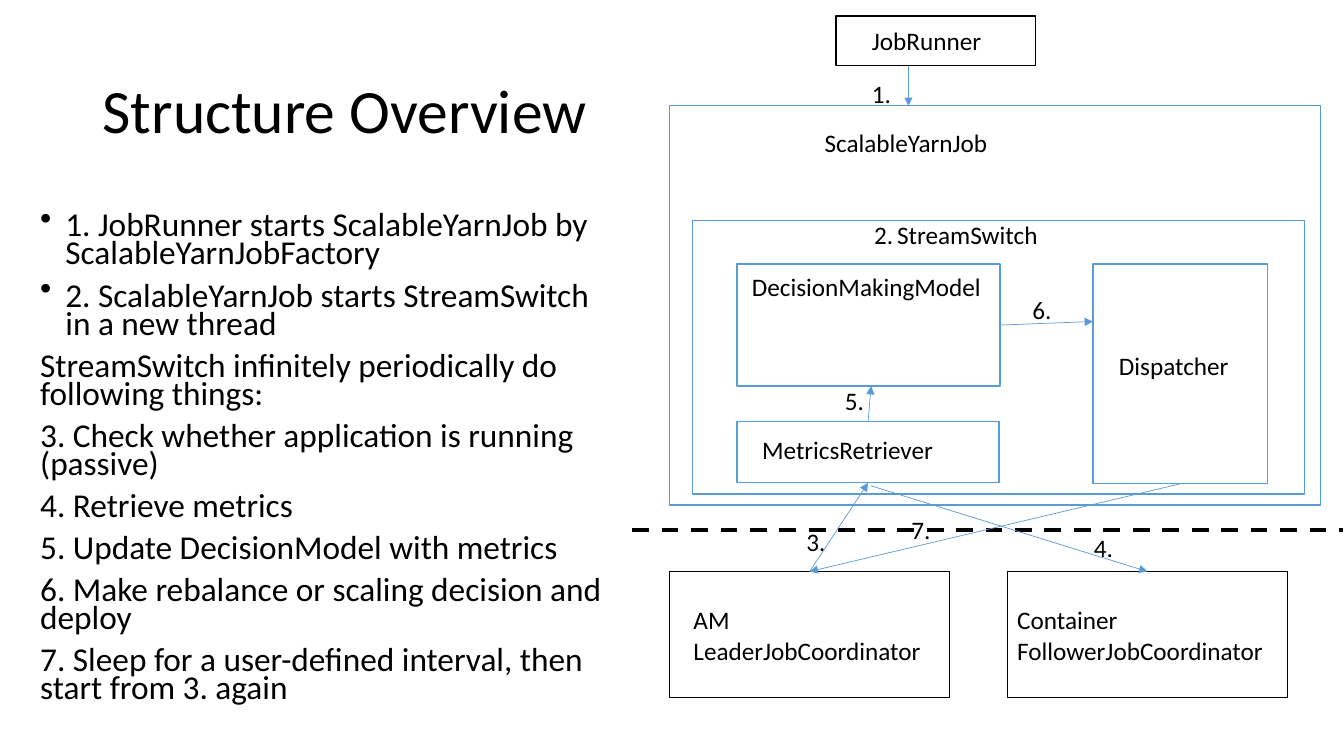
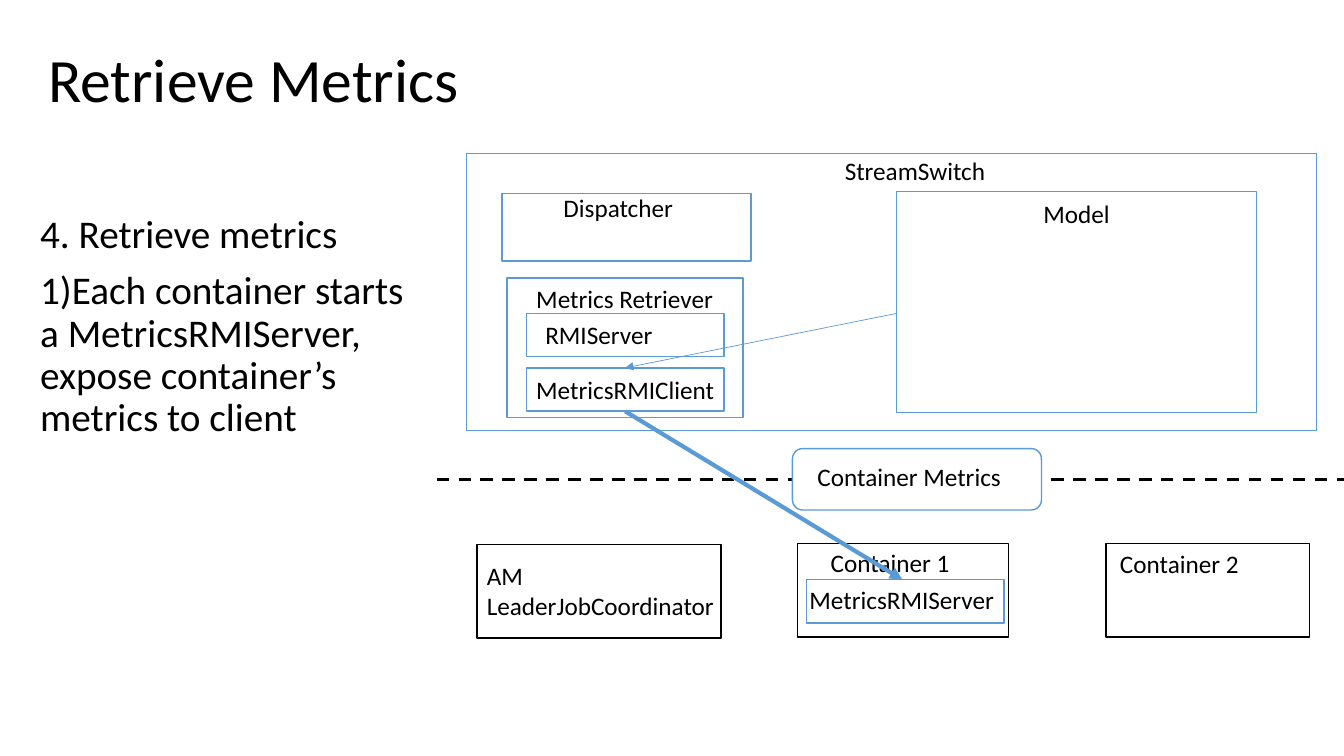
from dataclasses import dataclass
from typing import NamedTuple, Optional

import lxml.etree
import pptx
import pptx.dml.color
import pptx.enum.dml
import pptx.enum.shapes
import pptx.enum.text
import pptx.oxml.ns
import pptx.util

EMU_PER_PX = 9144  # 100 px to the inch


@dataclass(frozen=True)
class Theme:
    ink: str = "000000"
    accent: str = "5B9BD5"
    paper: str = "FFFFFF"
    font: str = "Calibri"
    title: float = 44
    label: float = 18
    outline: float = 1
    thin: float = 0.5
    thick: float = 3


THEME = Theme()


class Rect(NamedTuple):
    left: int
    top: int
    width: int
    height: int


class Label(NamedTuple):
    text: str
    left: int
    top: int
    width: int


class Box(NamedTuple):
    rect: Rect
    label: Label
    color: str = THEME.accent
    rounded: bool = False


class Anchor(NamedTuple):
    """The middle of a box side: 0 top, 1 left, 2 bottom, 3 right."""
    box: str
    side: int


class Point(NamedTuple):
    x: int
    y: int


class Arrow(NamedTuple):
    start: Anchor | Point
    end: Anchor | Point
    width: float = THEME.thin


class Line(NamedTuple):
    text: str
    bullet: bool = False


class Body(NamedTuple):
    rect: Rect
    size: float
    spacing: float
    lines: list[Line]


class Divider(NamedTuple):
    left: int
    right: int
    y: int
    width: float


class Page(NamedTuple):
    title: str
    title_at: Point
    body: Body
    divider: Divider
    boxes: dict[str, Box]
    steps: list[Label]
    arrows: list[Arrow]


def px(length: int) -> int:
    return pptx.util.Emu(length * EMU_PER_PX)


def rgb(color: str) -> pptx.dml.color.RGBColor:
    return pptx.dml.color.RGBColor.from_string(color)


def style_font(paragraph, size: float) -> None:
    paragraph.font.name = THEME.font
    paragraph.font.size = pptx.util.Pt(size)
    paragraph.font.color.rgb = rgb(THEME.ink)


def add_frame(slide, rect: Rect):
    frame = slide.shapes.add_textbox(*map(px, rect)).text_frame
    frame.word_wrap = True
    return frame


def add_bullet(paragraph) -> None:
    properties = paragraph._p.get_or_add_pPr()
    properties.set("marL", str(px(25)))
    properties.set("indent", str(px(-25)))
    bullet = lxml.etree.SubElement(properties, pptx.oxml.ns.qn("a:buChar"))
    bullet.set("char", "•")


def draw_title(slide, text: str, at: Point) -> None:
    frame = add_frame(slide, Rect(at.x, at.y, 1150, 145))
    frame.vertical_anchor = pptx.enum.text.MSO_ANCHOR.MIDDLE
    paragraph = frame.paragraphs[0]
    paragraph.text = text
    paragraph.line_spacing = 0.9
    style_font(paragraph, THEME.title)


def draw_body(slide, body: Body) -> None:
    frame = add_frame(slide, body.rect)
    for index, line in enumerate(body.lines):
        paragraph = frame.add_paragraph() if index else frame.paragraphs[0]
        paragraph.text = line.text
        paragraph.line_spacing = body.spacing
        if index:
            paragraph.space_before = pptx.util.Pt(10)
        if line.bullet:
            add_bullet(paragraph)
        style_font(paragraph, body.size)


def draw_label(slide, label: Label) -> None:
    rows = label.text.count("\n")
    frame = add_frame(slide, Rect(label.left, label.top, label.width, 40 + 31 * rows))
    frame.auto_size = pptx.enum.text.MSO_AUTO_SIZE.SHAPE_TO_FIT_TEXT
    frame.text = label.text
    for paragraph in frame.paragraphs:
        style_font(paragraph, THEME.label)


def draw_box(slide, box: Box):
    kinds = pptx.enum.shapes.MSO_SHAPE
    kind = kinds.ROUNDED_RECTANGLE if box.rounded else kinds.RECTANGLE
    outline = slide.shapes.add_shape(kind, *map(px, box.rect))
    outline.shadow.inherit = False
    outline.fill.solid()
    outline.fill.fore_color.rgb = rgb(THEME.paper)
    outline.line.color.rgb = rgb(box.color)
    outline.line.width = pptx.util.Pt(THEME.outline)
    draw_label(slide, box.label)
    return outline


def add_line(slide, start: Point, end: Point, color: str, width: float):
    connector = slide.shapes.add_connector(
        pptx.enum.shapes.MSO_CONNECTOR.STRAIGHT, *map(px, (*start, *end)))
    connector.line.color.rgb = rgb(color)
    connector.line.width = pptx.util.Pt(width)
    lxml.etree.SubElement(connector.element.spPr, pptx.oxml.ns.qn("a:effectLst"))
    return connector


def draw_divider(slide, divider: Divider) -> None:
    connector = add_line(slide, Point(divider.left, divider.y),
                         Point(divider.right, divider.y), THEME.ink, divider.width)
    connector.line.dash_style = pptx.enum.dml.MSO_LINE.DASH


def draw_arrow(slide, arrow: Arrow, outlines: dict) -> None:
    origin = Point(0, 0)
    start, end = (origin if isinstance(tip, Anchor) else tip
                  for tip in (arrow.start, arrow.end))
    connector = add_line(slide, start, end, THEME.accent, arrow.width)
    if isinstance(arrow.start, Anchor):
        connector.begin_connect(outlines[arrow.start.box], arrow.start.side)
    if isinstance(arrow.end, Anchor):
        connector.end_connect(outlines[arrow.end.box], arrow.end.side)
    stroke = connector.element.spPr.find(pptx.oxml.ns.qn("a:ln"))
    head = lxml.etree.SubElement(stroke, pptx.oxml.ns.qn("a:tailEnd"))
    head.set("type", "triangle")


def draw_page(slide, page: Page) -> None:
    draw_title(slide, page.title, page.title_at)
    draw_body(slide, page.body)
    draw_divider(slide, page.divider)
    outlines = {key: draw_box(slide, box) for key, box in page.boxes.items()}
    for step in page.steps:
        draw_label(slide, step)
    for arrow in page.arrows:
        draw_arrow(slide, arrow, outlines)


STRUCTURE = Page(
    title="Structure Overview",
    title_at=Point(92, 40),
    body=Body(Rect(30, 208, 589, 526), 23.8, 0.7, [
        Line("1. JobRunner starts ScalableYarnJob by ScalableYarnJobFactory", True),
        Line("2. ScalableYarnJob starts StreamSwitch in a new thread", True),
        Line("StreamSwitch infinitely periodically do following things:"),
        Line("3. Check whether application is running (passive)"),
        Line("4. Retrieve metrics"),
        Line("5. Update DecisionModel with metrics"),
        Line("6. Make rebalance or scaling decision and deploy"),
        Line("7. Sleep for a user-defined interval, then start from 3. again"),
    ]),
    divider=Divider(627, 1332, 526, 3),
    boxes={
        "runner": Box(Rect(829, 16, 198, 49), Label("JobRunner", 855, 20, 146), THEME.ink),
        "job": Box(Rect(664, 105, 646, 396), Label("ScalableYarnJob", 808, 121, 206)),
        "switch": Box(Rect(687, 219, 607, 271), Label("StreamSwitch", 880, 213, 212)),
        "model": Box(Rect(731, 262, 261, 121), Label("DecisionMakingModel", 736, 264, 273)),
        "retriever": Box(Rect(731, 418, 260, 61), Label("MetricsRetriever", 746, 426, 235)),
        "dispatcher": Box(Rect(1084, 262, 173, 218), Label("Dispatcher", 1100, 343, 157)),
        "leader": Box(Rect(664, 567, 278, 125),
                      Label("AM\nLeaderJobCoordinator", 678, 595, 250), THEME.ink),
        "follower": Box(Rect(999, 567, 278, 125),
                        Label("Container\nFollowerJobCoordinator", 999, 595, 274), THEME.ink),
    },
    steps=[
        Label("1.", 855, 73, 46),
        Label("2.", 857, 213, 52),
        Label("3.", 790, 517, 90),
        Label("4.", 1075, 523, 66),
        Label("5.", 828, 377, 52),
        Label("6.", 1014, 287, 52),
        Label("7.", 894, 505, 72),
    ],
    arrows=[
        Arrow(Point(901, 65), Point(901, 105)),
        Arrow(Anchor("leader", 0), Anchor("retriever", 2)),
        Arrow(Point(864, 482), Anchor("follower", 0)),
        Arrow(Anchor("retriever", 0), Point(864, 383)),
        Arrow(Anchor("model", 3), Point(1084, 319)),
        Arrow(Anchor("dispatcher", 2), Anchor("leader", 0)),
    ],
)

METRICS = Page(
    title="Retrieve Metrics",
    title_at=Point(38, 9),
    body=Body(Rect(30, 208, 389, 476), 28, 0.9, [
        Line("4. Retrieve metrics"),
        Line("1)Each container starts a MetricsRMIServer, expose container’s metrics to client"),
    ]),
    divider=Divider(433, 1333, 476, 2.25),
    boxes={
        "switch": Box(Rect(463, 152, 843, 275), Label("StreamSwitch", 828, 149, 168)),
        "dispatcher": Box(Rect(498, 192, 247, 67), Label("Dispatcher", 549, 186, 144)),
        "retriever": Box(Rect(503, 276, 234, 138), Label("Metrics Retriever", 522, 276, 205)),
        "model": Box(Rect(889, 190, 357, 219), Label("Model", 1025, 192, 124)),
        "rmi": Box(Rect(522, 311, 196, 43), Label("RMIServer", 531, 312, 180)),
        "client": Box(Rect(522, 365, 196, 43), Label("MetricsRMIClient", 522, 366, 197)),
        "leader": Box(Rect(473, 540, 242, 93),
                      Label("AM\nLeaderJobCoordinator", 473, 551, 252), THEME.ink),
        "first": Box(Rect(791, 539, 209, 93), Label("Container 1", 814, 538, 205), THEME.ink),
        "second": Box(Rect(1097, 539, 202, 93), Label("Container 2", 1101, 539, 205), THEME.ink),
        "server": Box(Rect(800, 575, 196, 43), Label("MetricsRMIServer", 793, 575, 205)),
        "metrics": Box(Rect(786, 445, 247, 61),
                       Label("Container Metrics", 801, 453, 214), rounded=True),
    },
    steps=[],
    arrows=[
        Arrow(Anchor("client", 2), Point(895, 575), THEME.thick),
        Arrow(Point(889, 311), Anchor("client", 0)),
    ],
)


def main() -> None:
    deck = pptx.Presentation()
    deck.slide_width, deck.slide_height = px(1333), px(750)
    blank = deck.slide_layouts[6]
    for page in (STRUCTURE, METRICS):
        draw_page(deck.slides.add_slide(blank), page)
    deck.save("out.pptx")


if __name__ == "__main__":
    main()
